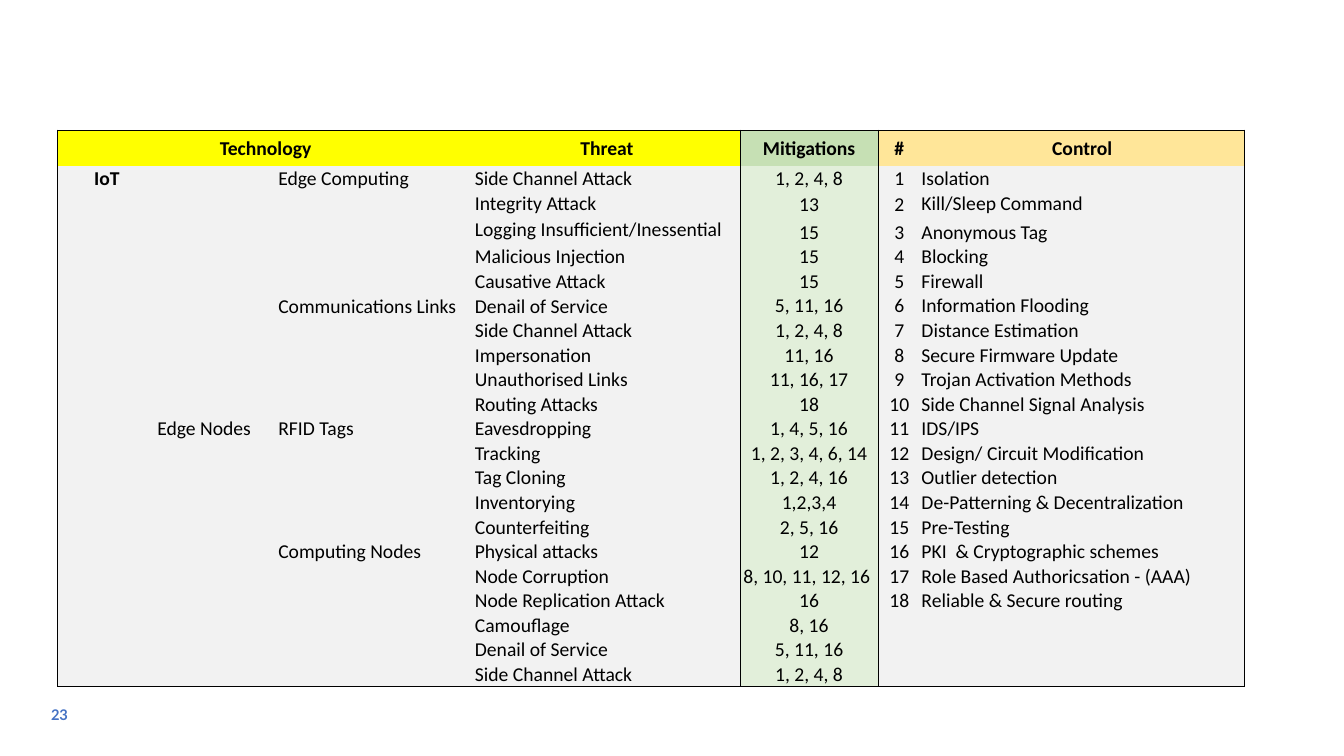
from itertools import zip_longest

from lxml.etree import SubElement
from pptx import Presentation
from pptx.dml.color import RGBColor as RGB
from pptx.enum.text import MSO_ANCHOR as ANCHOR, PP_ALIGN as ALIGN
from pptx.oxml.ns import qn
from pptx.util import Inches, Pt

COLORS = {
    "text": "000000",
    "border": "000000",
    "page_number": "4472C4",
    "threat_head": "FFFF00",
    "mitigation_head": "C6E0B4",
    "control_head": "FFE699",
    "body": "F2F2F2",
    "mitigation_body": "E2EFDA",
}
NO_STYLE = "{2D5ABB26-0587-4C30-8999-92F81FD0307C}"

# Content
HEADINGS = ["Technology", "", "", "Threat", "Mitigations", "#", "Control"]
TECHNOLOGIES = {  # body row: (domain, layer, component)
    1: ("IoT", "", "Edge Computing"),
    6: ("", "", "Communications Links"),
    11: ("", "Edge Nodes", "RFID Tags"),
    16: ("", "", "Computing Nodes"),
}
THREATS = [
    ("Side Channel Attack", "1, 2, 4, 8"),
    ("Integrity Attack", "13"),
    ("Logging Insufficient/Inessential", "15"),
    ("Malicious Injection", "15"),
    ("Causative Attack", "15"),
    ("Denail of Service", "5, 11, 16"),
    ("Side Channel Attack", "1, 2, 4, 8"),
    ("Impersonation", "11, 16"),
    ("Unauthorised Links", "11, 16, 17"),
    ("Routing Attacks", "18"),
    ("Eavesdropping", "1, 4, 5, 16"),
    ("Tracking", "1, 2, 3, 4, 6, 14"),
    ("Tag Cloning", "1, 2, 4, 16"),
    ("Inventorying", "1,2,3,4"),
    ("Counterfeiting", "2, 5, 16"),
    ("Physical attacks", "12"),
    ("Node Corruption", "8, 10, 11, 12, 16 "),
    ("Node Replication Attack", "16"),
    ("Camouflage", "8, 16"),
    ("Denail of Service", "5, 11, 16"),
    ("Side Channel Attack", "1, 2, 4, 8"),
]
CONTROLS = [
    "Isolation", "Kill/Sleep Command", "Anonymous Tag", "Blocking", "Firewall",
    "Information Flooding", "Distance Estimation", "Secure Firmware Update",
    "Trojan Activation Methods", "Side Channel Signal Analysis", "IDS/IPS",
    "Design/ Circuit Modification", "Outlier detection",
    "De-Patterning & Decentralization", "Pre-Testing",
    "PKI  & Cryptographic schemes", "Role Based Authoricsation - (AAA)",
    "Reliable & Secure routing",
]

# Layout
COLUMN_WIDTHS = [0.98, 1.2, 1.95, 2.64, 1.37, 0.42, 3.21]
ROW_HEIGHTS = [0.36, 0.21, 0.26, 0.27] + [0.23] * 18
DOMAIN, THREAT, MITIGATION, NUMBER, CONTROL = 0, 3, 4, 5, 6
CENTERED = {DOMAIN, MITIGATION, NUMBER}
LEFT_RULED = {DOMAIN, MITIGATION, NUMBER}
RIGHT_RULED = {THREAT, MITIGATION, CONTROL}


class SlideBuilder:
    def __init__(self, presentation, font="Calibri", size=14):
        self.slide = presentation.slides.add_slide(presentation.slide_layouts[6])
        self.font, self.size = font, size

    def style(self, paragraph, align, bold=False, color="text", font=None, size=None):
        paragraph.alignment = align
        paragraph.font.name = font or self.font
        paragraph.font.size = Pt(size or self.size)
        paragraph.font.bold = bold
        paragraph.font.color.rgb = RGB.from_string(COLORS[color])

    def text(self, words, left, top, width, height, **style):
        box = self.slide.shapes.add_textbox(
            Inches(left), Inches(top), Inches(width), Inches(height))
        frame = box.text_frame
        frame.word_wrap = True
        frame.vertical_anchor = ANCHOR.MIDDLE
        frame.text = words
        self.style(frame.paragraphs[0], ALIGN.CENTER, **style)

    def table(self, left, top, widths, heights):
        frame = self.slide.shapes.add_table(
            len(heights), len(widths), Inches(left), Inches(top),
            Inches(sum(widths)), Inches(sum(heights)))
        grid = frame.table
        grid.first_row = grid.horz_banding = False
        grid._tbl.tblPr.find(qn("a:tableStyleId")).text = NO_STYLE
        for column, width in zip(grid.columns, widths):
            column.width = Inches(width)
        for row, height in zip(grid.rows, heights):
            row.height = Inches(height)
        return grid

    def cell(self, cell, words, fill, sides, align, anchor, bold):
        cell.margin_left = cell.margin_right = cell.margin_top = Inches(0.01)
        cell.margin_bottom = 0
        cell.vertical_anchor = anchor
        cell.text = words
        paragraph = cell.text_frame.paragraphs[0]
        self.style(paragraph, align, bold)
        if not words:  # keeps empty cells from stretching their row
            SubElement(paragraph._p, qn("a:endParaRPr"), sz=str(self.size * 100))
        self.borders(cell, sides)
        cell.fill.solid()
        cell.fill.fore_color.rgb = RGB.from_string(COLORS[fill])

    def borders(self, cell, sides):
        properties = cell._tc.get_or_add_tcPr()
        for side in "LRTB":
            line = SubElement(properties, qn(f"a:ln{side}"), w=str(Pt(0.5)))
            if side in sides:
                solid = SubElement(line, qn("a:solidFill"))
                SubElement(solid, qn("a:srgbClr"), val=COLORS["border"])
            else:
                SubElement(line, qn("a:noFill"))


def cell_fill(row, column):
    if column == MITIGATION:
        return "mitigation_body" if row else "mitigation_head"
    if row:
        return "body"
    return "threat_head" if column <= THREAT else "control_head"


def cell_anchor(row, column):
    if row == 0:
        return ANCHOR.MIDDLE
    top_control = column == CONTROL and row <= 2
    return ANCHOR.TOP if column <= THREAT or top_control else ANCHOR.BOTTOM


def cell_sides(row, column, last_row):
    return (("L" if column in LEFT_RULED else "")
            + ("R" if column in RIGHT_RULED else "")
            + ("T" if row == 0 else "")
            + ("B" if row == last_row else ""))


def main():
    presentation = Presentation()
    presentation.slide_width, presentation.slide_height = Inches(13.33), Inches(7.5)
    builder = SlideBuilder(presentation)

    # Page number
    builder.text("23", 0.38, 6.89, 0.42, 0.4, bold=True,
                 color="page_number", font="Lato", size=10.5)

    # Threats, their mitigations and the numbered controls
    rows = [HEADINGS]
    for number, (threat, control) in enumerate(zip_longest(THREATS, CONTROLS), 1):
        technology = TECHNOLOGIES.get(number, ("", "", ""))
        rows.append([*technology, *threat, str(number) if control else "", control or ""])

    matrix = builder.table(0.57, 1.29, COLUMN_WIDTHS, ROW_HEIGHTS)
    for r, row in enumerate(rows):
        for c, words in enumerate(row):
            centered = r == 0 or c in CENTERED
            builder.cell(
                matrix.cell(r, c), words, cell_fill(r, c),
                cell_sides(r, c, len(rows) - 1),
                ALIGN.CENTER if centered else ALIGN.LEFT,
                cell_anchor(r, c), bold=r == 0 or c == DOMAIN)
    matrix.cell(0, 0).merge(matrix.cell(0, 2))

    presentation.save("out.pptx")


if __name__ == "__main__":
    main()
